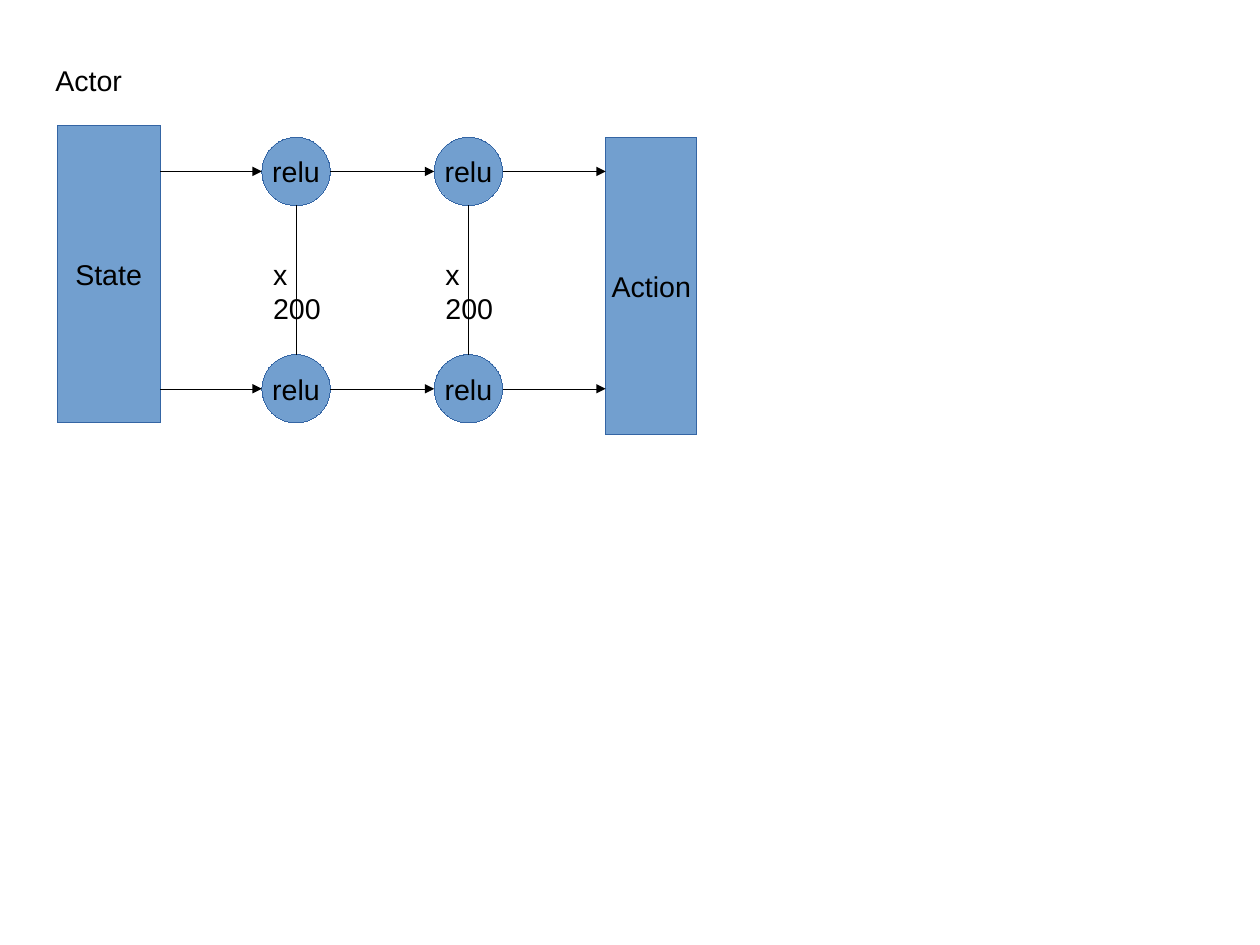
from dataclasses import dataclass
from lxml.etree import SubElement
from pptx import Presentation
from pptx.dml.color import RGBColor
from pptx.enum.shapes import MSO_CONNECTOR, MSO_SHAPE
from pptx.enum.text import MSO_ANCHOR, MSO_AUTO_SIZE, PP_ALIGN
from pptx.oxml.ns import qn
from pptx.util import Cm, Pt


@dataclass(frozen=True)
class Theme:
    fill: RGBColor = RGBColor(0x72, 0x9F, 0xCF)
    outline: RGBColor = RGBColor(0x34, 0x65, 0xA4)
    ink: RGBColor = RGBColor(0, 0, 0)
    font: str = "Arial"
    size: Pt = Pt(18)
    hairline: str = "0"


@dataclass(frozen=True)
class Box:
    x: float
    y: float
    w: float
    h: float

    @property
    def lengths(self):
        return Cm(self.x), Cm(self.y), Cm(self.w), Cm(self.h)

    @property
    def right(self):
        return self.x + self.w

    @property
    def bottom(self):
        return self.y + self.h

    @property
    def cx(self):
        return self.x + self.w / 2


THEME = Theme()
NODE = 1.52


def write(sp, text, align=PP_ALIGN.LEFT, anchor=MSO_ANCHOR.TOP, wrap=False,
          fit=MSO_AUTO_SIZE.NONE):
    tf = sp.text_frame
    tf.word_wrap = wrap
    tf.auto_size = fit
    tf.vertical_anchor = anchor
    p = tf.paragraphs[0]
    p.alignment = align
    r = p.add_run()
    r.text = text
    r.font.name = THEME.font
    r.font.size = THEME.size
    r.font.color.rgb = THEME.ink


def draw_hairline(sp, color):
    sp.line.color.rgb = color
    ln = sp._element.spPr.find(qn("a:ln"))
    ln.set("w", THEME.hairline)
    return ln


def add_label(s, box, text, wrap=False):
    sp = s.shapes.add_textbox(*box.lengths)
    write(sp, text, wrap=wrap, fit=MSO_AUTO_SIZE.SHAPE_TO_FIT_TEXT)


def add_block(s, box, text, kind=MSO_SHAPE.RECTANGLE):
    sp = s.shapes.add_shape(kind, *box.lengths)
    sp.shadow.inherit = False
    sp.fill.solid()
    sp.fill.fore_color.rgb = THEME.fill
    draw_hairline(sp, THEME.outline)
    write(sp, text, align=PP_ALIGN.CENTER, anchor=MSO_ANCHOR.MIDDLE)


def add_line(s, x1, y1, x2, y2, arrow=False):
    sp = s.shapes.add_connector(
        MSO_CONNECTOR.STRAIGHT, Cm(x1), Cm(y1), Cm(x2), Cm(y2))
    ln = draw_hairline(sp, THEME.ink)
    if arrow:
        SubElement(ln, qn("a:tailEnd"), type="triangle")
    SubElement(sp._element.spPr, qn("a:effectLst"))


def hidden_layer(s, box):
    top = Box(box.x, box.y, NODE, NODE)
    bottom = Box(box.x, box.bottom - NODE, NODE, NODE)
    for node in (top, bottom):
        add_block(s, node, "relu", MSO_SHAPE.OVAL)
    add_line(s, top.cx, top.bottom, bottom.cx, bottom.y)
    add_label(s, Box(box.x, box.y + 2.54, 2.03, 1.68), "x 200", wrap=True)


def actor_network(s, box):
    block_h = box.h - 0.25
    state = Box(box.x, box.y, 2.29, block_h)
    action = Box(box.right - 2.03, box.y + 0.25, 2.03, block_h)
    layers = [Box(box.x + dx, action.y, NODE, state.bottom - action.y)
              for dx in (4.55, 8.38)]

    add_label(s, Box(box.x - 0.29, box.y - 1.53, 2.4, 0.97), "Actor")
    add_block(s, state, "State")
    for layer in layers:
        hidden_layer(s, layer)
    add_block(s, action, "Action")

    stages = [state, *layers, action]
    for y in (layers[0].y + NODE / 2, layers[0].bottom - NODE / 2):
        for start, end in zip(stages, stages[1:]):
            add_line(s, start.right, y, end.x, y, arrow=True)


def main():
    prs = Presentation()
    prs.slide_width, prs.slide_height = Cm(28), Cm(21)
    s = prs.slides.add_slide(prs.slide_layouts[6])
    actor_network(s, Box(1.27, 2.8, 14.22, 6.85))
    prs.save("out.pptx")


if __name__ == "__main__":
    main()
